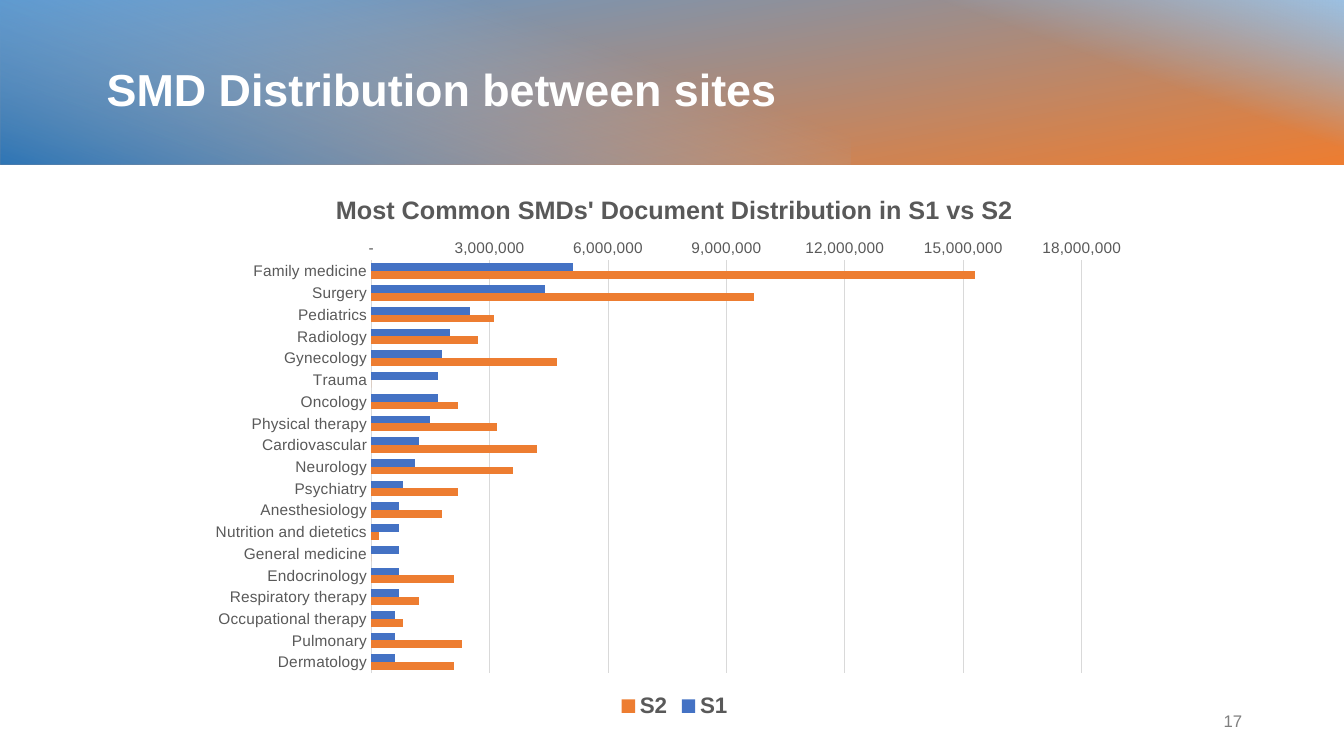
from lxml.etree import SubElement
from pptx import Presentation
from pptx.chart.data import CategoryChartData
from pptx.dml.color import RGBColor
from pptx.enum.chart import XL_CHART_TYPE, XL_LEGEND_POSITION, XL_TICK_MARK
from pptx.enum.shapes import MSO_SHAPE
from pptx.enum.text import MSO_ANCHOR, PP_ALIGN
from pptx.oxml import parse_xml
from pptx.oxml.ns import nsdecls, qn
from pptx.util import Inches, Pt

WHITE = RGBColor(0xFF, 0xFF, 0xFF)
BLUE = RGBColor(0x5B, 0x9B, 0xD5)
PALE_BLUE = RGBColor(0x9C, 0xC2, 0xE5)
DEEP_BLUE = RGBColor(0x2E, 0x75, 0xB5)
ORANGE = RGBColor(0xED, 0x7D, 0x31)
BAR_BLUE = RGBColor(0x44, 0x72, 0xC4)
TEXT_GRAY = RGBColor(0x59, 0x59, 0x59)
NUMBER_GRAY = RGBColor(0x7F, 0x7F, 0x7F)
GRID_GRAY = RGBColor(0xD9, 0xD9, 0xD9)

SITES = {"S1": BAR_BLUE, "S2": ORANGE}

# Documents in millions, in the order of SITES
DOCUMENTS = {
    "Family medicine": (5.1, 15.3),
    "Surgery": (4.4, 9.7),
    "Pediatrics": (2.5, 3.1),
    "Radiology": (2.0, 2.7),
    "Gynecology": (1.8, 4.7),
    "Trauma": (1.7, 0),
    "Oncology": (1.7, 2.2),
    "Physical therapy": (1.5, 3.2),
    "Cardiovascular": (1.2, 4.2),
    "Neurology": (1.1, 3.6),
    "Psychiatry": (0.8, 2.2),
    "Anesthesiology": (0.7, 1.8),
    "Nutrition and dietetics": (0.7, 0.2),
    "General medicine": (0.7, 0),
    "Endocrinology": (0.7, 2.1),
    "Respiratory therapy": (0.7, 1.2),
    "Occupational therapy": (0.6, 0.8),
    "Pulmonary": (0.6, 2.3),
    "Dermatology": (0.6, 2.1),
}


def set_font(font, size, color, bold=False):
    font.name = "Arial"
    font.size = Pt(size)
    font.bold = bold
    font.color.rgb = color


def write(frame, text, size, color, bold=False, align=None, space_after=0):
    paragraph = frame.paragraphs[0]
    paragraph.alignment = align
    paragraph.space_after = Pt(space_after)
    run = paragraph.add_run()
    run.text = text
    set_font(run.font, size, color, bold)


def set_gradient(shape, angle, stops):
    """Fill with stops of (percent, color, opacity percent)."""
    stop_xml = "".join(
        f'<a:gs pos="{percent * 1000}"><a:srgbClr val="{color}">'
        f'<a:alpha val="{opacity * 1000}"/></a:srgbClr></a:gs>'
        for percent, color, opacity in stops
    )
    gradient = parse_xml(
        f'<a:gradFill {nsdecls("a")} rotWithShape="1"><a:gsLst>{stop_xml}</a:gsLst>'
        f'<a:lin ang="{angle * 60000}" scaled="0"/></a:gradFill>'
    )
    shape.element.spPr.find(qn("a:prstGeom")).addnext(gradient)


def set_plot_layout(chart, **shares):
    """Fix the inner plot area as shares of the chart."""
    plot_area = chart.element.find(".//" + qn("c:plotArea"))
    layout = plot_area.find(qn("c:layout"))
    if layout is None:
        layout = parse_xml(f'<c:layout {nsdecls("c")}/>')
        plot_area.insert(0, layout)
    manual = SubElement(layout, qn("c:manualLayout"))
    settings = {"layoutTarget": "inner", "xMode": "edge", "yMode": "edge", **shares}
    for tag, value in settings.items():
        SubElement(manual, qn(f"c:{tag}")).set("val", str(value))


class SlideBuilder:
    """Places elements in boxes given as percentages of the slide's size."""

    def __init__(self, presentation):
        self.width = presentation.slide_width
        self.height = presentation.slide_height
        self.shapes = presentation.slides.add_slide(presentation.slide_layouts[6]).shapes

    def box(self, left, top, width, height):
        return (
            int(self.width * left / 100),
            int(self.height * top / 100),
            int(self.width * width / 100),
            int(self.height * height / 100),
        )

    def banner(self, left, width, rotation, angle, stops):
        """Add an upright rectangle, turned a quarter to lie across the top."""
        left, top, width, height = self.box(left, -0.4, width, 22.13)
        shift = (width - height) // 2
        shape = self.shapes.add_shape(
            MSO_SHAPE.RECTANGLE, left + shift, top - shift, height, width)
        shape.rotation = rotation
        shape.shadow.inherit = False
        shape.line.fill.background()
        set_gradient(shape, angle, stops)

    def title(self, text, *box):
        shape = self.shapes.add_shape(MSO_SHAPE.ROUNDED_RECTANGLE, *self.box(*box))
        shape.adjustments[0] = 0
        shape.shadow.inherit = False
        shape.fill.background()
        shape.line.fill.background()
        shape.text_frame.vertical_anchor = MSO_ANCHOR.MIDDLE
        write(shape.text_frame, text, 32, WHITE, bold=True, align=PP_ALIGN.LEFT)

    def page_number(self, text, *box):
        frame = self.shapes.add_textbox(*self.box(*box)).text_frame
        frame.word_wrap = True
        frame.vertical_anchor = MSO_ANCHOR.MIDDLE
        write(frame, text, 12, NUMBER_GRAY, align=PP_ALIGN.RIGHT, space_after=6)

    def bar_chart(self, title, *box):
        data = CategoryChartData(number_format="#,##0")
        data.categories = list(DOCUMENTS)
        for site, millions in zip(SITES, zip(*DOCUMENTS.values())):
            data.add_series(site, [round(value * 1_000_000) for value in millions])
        chart = self.shapes.add_chart(
            XL_CHART_TYPE.BAR_CLUSTERED, *self.box(*box), data).chart
        set_font(chart.font, 10, TEXT_GRAY)
        write(chart.chart_title.text_frame, title, 18, TEXT_GRAY, bold=True)
        chart.chart_title.include_in_layout = False

        plot = chart.plots[0]
        plot.gap_width = 80
        plot.overlap = 0
        plot.vary_by_categories = False
        for series, color in zip(plot.series, SITES.values()):
            series.format.fill.solid()
            series.format.fill.fore_color.rgb = color
        set_plot_layout(chart, x=0.18, y=0.16, w=0.75, h=0.75)

        for axis in (chart.category_axis, chart.value_axis):
            axis.major_tick_mark = axis.minor_tick_mark = XL_TICK_MARK.NONE
            set_font(axis.tick_labels.font, 11, TEXT_GRAY)
        chart.category_axis.reverse_order = True
        values = chart.value_axis
        values.minimum_scale, values.maximum_scale = 0, 18_000_000
        values.major_unit = 3_000_000
        values.tick_labels.number_format = '#,##0;(#,##0);"-"'
        values.tick_labels.number_format_is_linked = False
        values.format.line.fill.background()
        for line in (chart.category_axis.format.line, values.major_gridlines.format.line):
            line.color.rgb = GRID_GRAY
            line.width = Pt(0.75)

        chart.has_legend = True
        chart.legend.position = XL_LEGEND_POSITION.BOTTOM
        chart.legend.include_in_layout = False
        set_font(chart.legend.font, 16, TEXT_GRAY, bold=True)


def main():
    presentation = Presentation()
    presentation.slide_width = Inches(13.33)
    presentation.slide_height = Inches(7.5)
    slide = SlideBuilder(presentation)
    slide.banner(0, 100, 270, 170, [(0, BLUE, 100), (100, ORANGE, 100)])
    slide.banner(58.5, 41.5, 270, 20,
                 [(0, PALE_BLUE, 0), (59, PALE_BLUE, 0), (100, PALE_BLUE, 100)])
    slide.banner(0, 63.3, 90, 20,
                 [(0, PALE_BLUE, 0), (29, PALE_BLUE, 0), (100, DEEP_BLUE, 100)])
    slide.title("SMD Distribution between sites", 7.2, 4.4, 86, 14.67)
    slide.page_number("17", 70.67, 92.67, 22.5, 5.33)
    slide.bar_chart("Most Common SMDs' Document Distribution in S1 vs S2",
                    14.93, 22.8, 70.5, 72.8)
    presentation.save("out.pptx")


if __name__ == "__main__":
    main()
